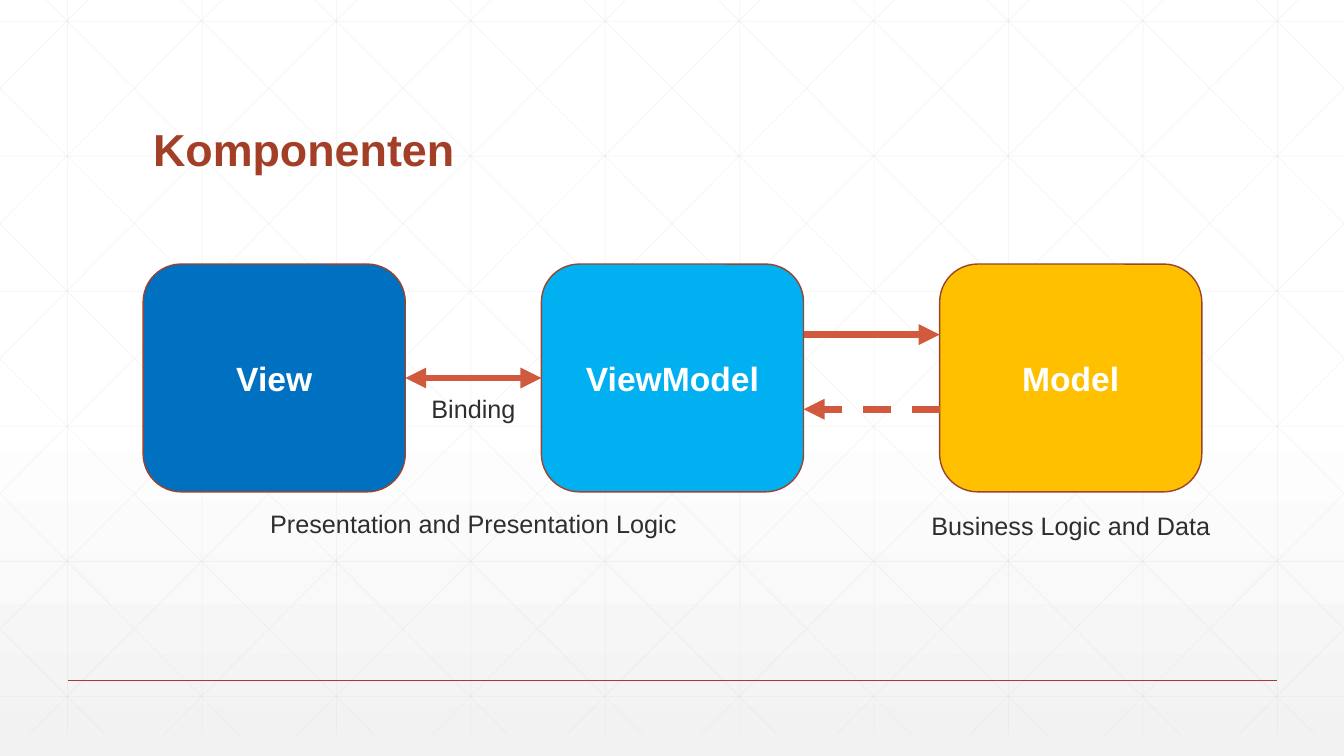
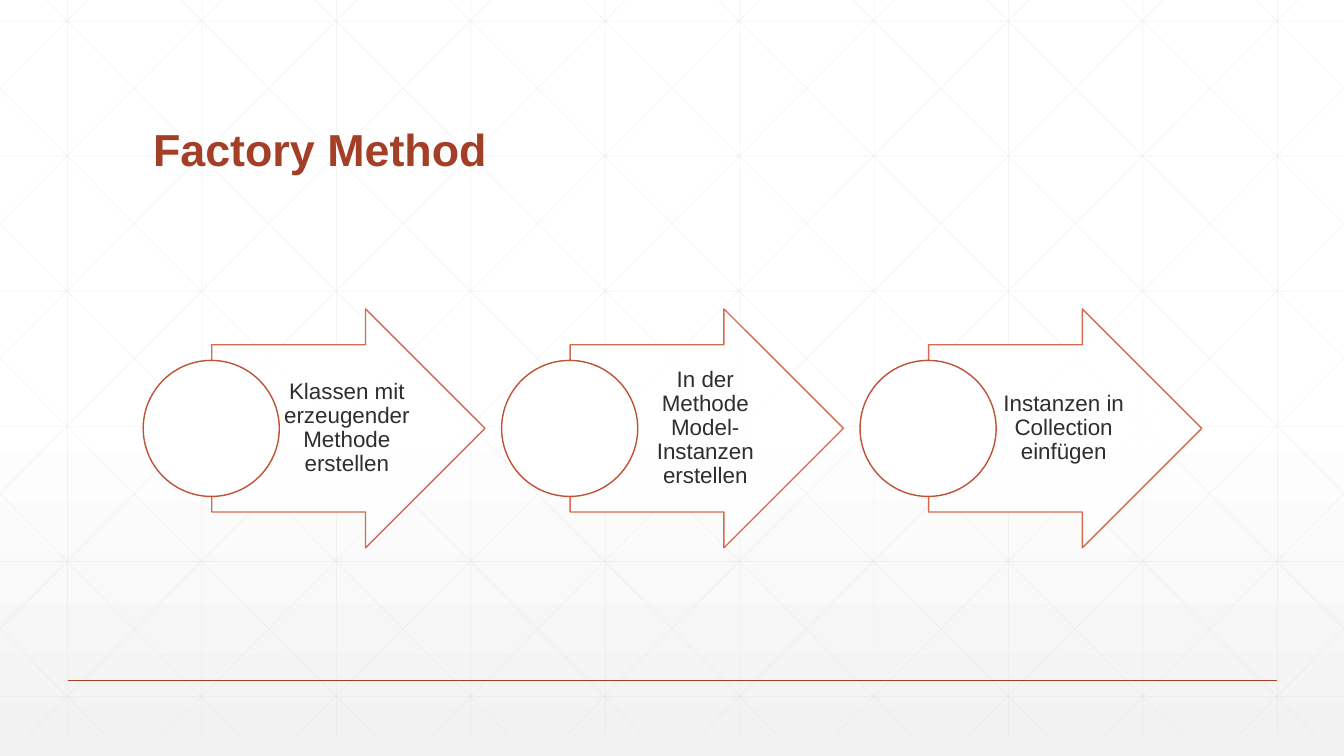
"""Builds two slides on a model-view pattern and a factory method."""
from dataclasses import dataclass
from pptx import Presentation
from pptx.dml.color import RGBColor as RGB
from pptx.enum.dml import MSO_LINE as Dash
from pptx.enum.shapes import MSO_CONNECTOR as Conn, MSO_SHAPE as Kind
from pptx.enum.text import MSO_ANCHOR as Anchor, PP_ALIGN as Align
from pptx.oxml.ns import qn
from pptx.util import Inches, Pt


@dataclass(frozen=True)
class Theme:
    font: str = "Arial"
    white: str = "FFFFFF"
    shade: str = "F2F2F2"
    grid: str = "D9D9D9"
    title: str = "A43F27"
    text: str = "2D2E2D"
    edge: str = "9B432E"
    arrow: str = "D15A3E"
    ring: str = "BE5238"
    head_size: int = 32
    card_size: int = 24
    label_size: int = 18
    step_size: int = 16


T = Theme()
WIDE, HIGH = 13.33, 7.5
LEFT, SPAN = 1.42, 10.5
CARD_W, CARD_H, CARD_TOP = 2.6, 2.26, 2.62
STEP_W, RING, MID = 3.39, 1.35, 4.25
ARROW_W, ARROW_H = 2.71, 2.37

CARDS = [("View", "0070C0"), ("ViewModel", "00B0F0"), ("Model", "FFC000")]
LINKS = [
    (0, 1, 3.75, True, False),
    (1, 2, 3.32, False, False),
    (2, 1, 4.06, False, True),
]
LABELS = [
    ("Binding", 0, 1, 3.85),
    ("Presentation and Presentation Logic", 0, 1, 4.99),
    ("Business Logic and Data", 2, 2, 5.01),
]
STEPS = [
    "Klassen mit erzeugender Methode erstellen",
    "In der Methode Model-Instanzen erstellen",
    "Instanzen in Collection einfügen",
]


def spread(count, width):
    return [LEFT + i * (SPAN - width) / (count - 1) for i in range(count)]


def fade(shape, share):
    for color in shape.element.spPr.iter(qn("a:srgbClr")):
        color.makeelement(qn("a:alpha"), {})
        alpha = color.makeelement(qn("a:alpha"), {"val": str(share * 1000)})
        color.append(alpha)


def add_line(slide, start, end, color, weight, dash=None, ends=()):
    ends_at = [Inches(v) for v in (*start, *end)]
    line = slide.shapes.add_connector(Conn.STRAIGHT, *ends_at)
    line.line.color.rgb = RGB.from_string(color)
    line.line.width = Pt(weight)
    if dash:
        line.line.dash_style = dash
    props = line.element.spPr
    stroke = props.find(qn("a:ln"))
    for end_tag in ends:
        stroke.append(stroke.makeelement(qn(end_tag), {"type": "triangle"}))
    props.append(props.makeelement(qn("a:effectLst"), {}))
    return line


def add_shape(slide, kind, box, fill, edge):
    shape = slide.shapes.add_shape(kind, *[Inches(v) for v in box])
    shape.shadow.inherit = False
    shape.fill.solid()
    shape.fill.fore_color.rgb = RGB.from_string(fill)
    shape.line.color.rgb = RGB.from_string(edge)
    shape.line.width = Pt(1)
    return shape


def write(shape, text, size, color, bold=False, align=Align.CENTER, anchor=Anchor.MIDDLE, space=1.0):
    frame = shape.text_frame
    frame.word_wrap = True
    frame.vertical_anchor = anchor
    para = frame.paragraphs[0]
    para.alignment = align
    para.line_spacing = space
    run = para.add_run()
    run.text = text
    run.font.name = T.font
    run.font.size = Pt(size)
    run.font.bold = bold
    run.font.color.rgb = RGB.from_string(color)
    return frame


def add_text(slide, box, *args, **style):
    return write(slide.shapes.add_textbox(*[Inches(v) for v in box]), *args, **style)


def grid_ends():
    gap, base, run = 4 / 3, 7.29, 7.25
    slope = base / run
    for i in range(10):
        x = 0.67 + i * gap
        yield (x, 0), (x, base)
    for i in range(6):
        y = 0.21 + i * 1.34
        yield (0, y), (WIDE, y)
    for i in range(-5, 10):
        x = 0.46 + i * gap
        first, last = max(x, 0), min(x + run, WIDE)
        top, foot = (first - x) * slope, (last - x) * slope
        yield (first, top), (last, foot)
        yield (WIDE - first, top), (WIDE - last, foot)


def dress(layout, slide):
    for holder in list(layout.placeholders):
        holder.element.getparent().remove(holder.element)
    fill = layout.background.fill
    fill.gradient()
    fill.gradient_angle = 270
    for stop, place, color in zip(fill.gradient_stops, (0.53, 1), (T.white, T.shade)):
        stop.position = place
        stop.color.rgb = RGB.from_string(color)
    lines = [add_line(slide, *ends, T.grid, 0.5) for ends in grid_ends()]
    for line in lines:
        fade(line, 25)
    lines.append(add_line(slide, (0.67, 6.75), (12.67, 6.75), T.title, 1))
    for line in lines:
        layout.shapes.element.append(line.element)


def add_title(slide, text):
    add_text(slide, (LEFT, 0.55, SPAN, 1.25), text, T.head_size, T.title,
             bold=True, align=Align.LEFT, anchor=Anchor.BOTTOM, space=0.9)


def draw_parts(slide):
    add_title(slide, "Komponenten")
    lefts = spread(len(CARDS), CARD_W)
    for x, (name, color) in zip(lefts, CARDS):
        card = add_shape(slide, Kind.ROUNDED_RECTANGLE, (x, CARD_TOP, CARD_W, CARD_H), color, T.edge)
        write(card, name, T.card_size, T.white, bold=True)
    for a, b, y, both, dashed in LINKS:
        start = lefts[a] + (CARD_W if a < b else 0)
        end = lefts[b] + (CARD_W if b < a else 0)
        tips = ("a:headEnd", "a:tailEnd") if both else ("a:tailEnd",)
        add_line(slide, (start, y), (end, y), T.arrow, 5, Dash.DASH if dashed else None, tips)
    for text, a, b, y in LABELS:
        center, width = (lefts[a] + lefts[b] + CARD_W) / 2, 0.4 + 0.13 * len(text)
        add_text(slide, (center - width / 2, y, width, 0.4), text, T.label_size, T.text, anchor=Anchor.TOP)


def draw_steps(slide):
    add_title(slide, "Factory Method")
    for x, text in zip(spread(len(STEPS), STEP_W), STEPS):
        box = (x + STEP_W - ARROW_W, MID - ARROW_H / 2, ARROW_W, ARROW_H)
        arrow = add_shape(slide, Kind.RIGHT_ARROW, box, T.white, T.arrow)
        arrow.adjustments[0], arrow.adjustments[1] = 0.7, 0.5
        fade(arrow, 90)
        frame = add_text(slide, (x + RING, MID - 0.83, 1.32, 1.66), text, T.step_size, T.text, space=0.9)
        frame.margin_left, frame.margin_right = Inches(0.04), Inches(0.02)
        frame.margin_top = frame.margin_bottom = Inches(0.01)
        add_shape(slide, Kind.OVAL, (x, MID - RING / 2, RING, RING), T.white, T.ring)


def main():
    deck = Presentation()
    deck.slide_width, deck.slide_height = Inches(WIDE), Inches(HIGH)
    blank = deck.slide_layouts[6]
    slides = [deck.slides.add_slide(blank) for _ in range(2)]
    dress(blank, slides[0])
    for draw, slide in zip((draw_parts, draw_steps), slides):
        draw(slide)
    deck.save("out.pptx")


if __name__ == "__main__":
    main()
